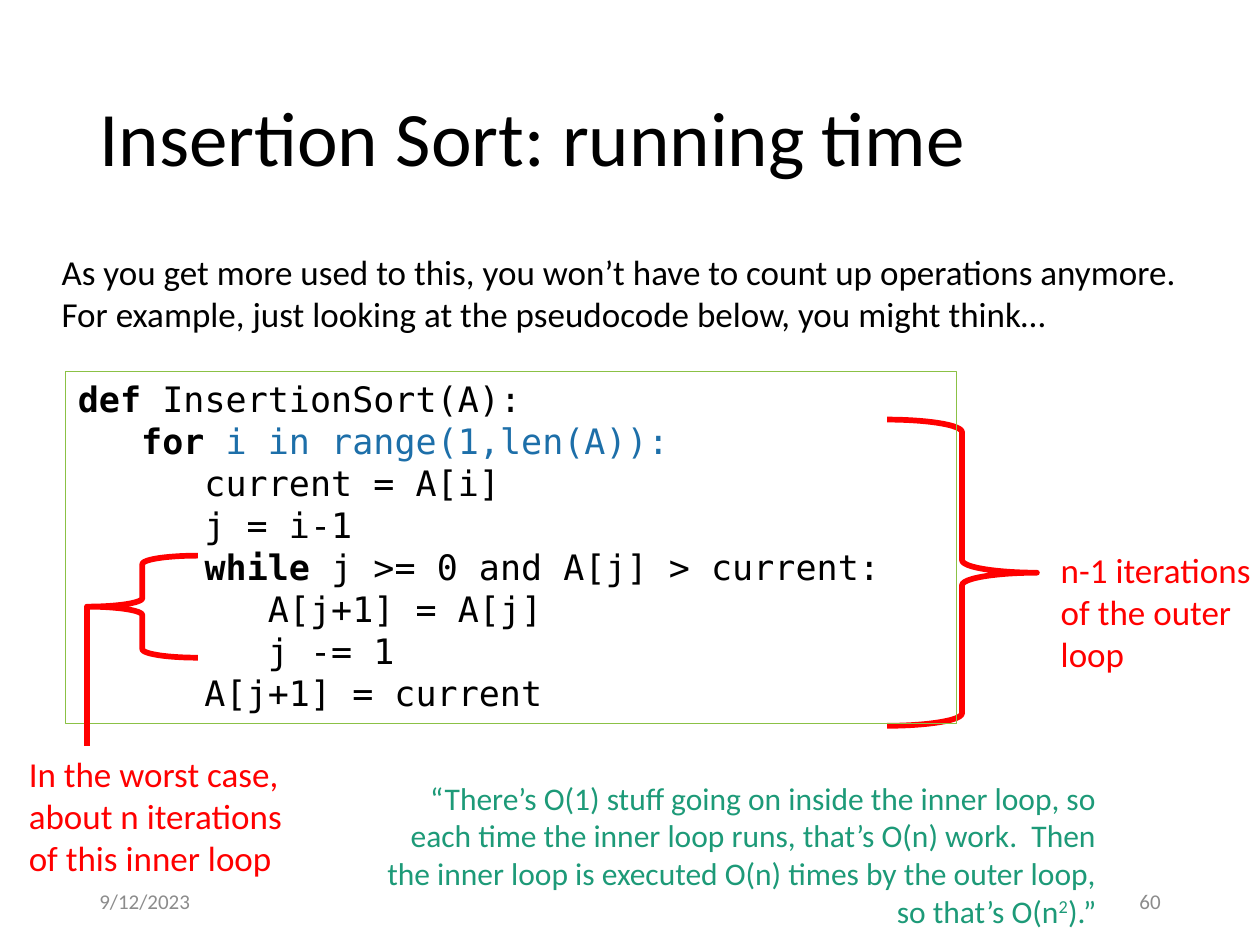
from dataclasses import dataclass

from lxml import etree
from pptx import Presentation
from pptx.dml.color import RGBColor
from pptx.enum.shapes import MSO_CONNECTOR, MSO_SHAPE
from pptx.enum.text import MSO_ANCHOR, PP_ALIGN
from pptx.oxml.ns import qn
from pptx.util import Inches, Pt

BLACK = RGBColor(0x00, 0x00, 0x00)
RED = RGBColor(0xFF, 0x00, 0x00)
BLUE = RGBColor(0x1D, 0x6F, 0xA9)
GREEN = RGBColor(0x8B, 0xC1, 0x45)
TEAL = RGBColor(0x1D, 0x9A, 0x78)
GRAY = RGBColor(0x8C, 0x8C, 0x8C)
BODY_FONT = "Calibri"
CODE_FONT = "DejaVu Sans Mono"

# Each code line is a list of (text, bold, colour) spans.
CODE = [
    [("def ", True, BLACK), ("InsertionSort(A):", False, BLACK)],
    [("   ", False, BLACK), ("for ", True, BLACK), ("i in range(1,len(A)):", False, BLUE)],
    [("      current = A[i]", False, BLACK)],
    [("      j = i-1", False, BLACK)],
    [("      ", False, BLACK), ("while ", True, BLACK), ("j >= 0 and A[j] > current:", False, BLACK)],
    [("         A[j+1] = A[j]", False, BLACK)],
    [("         j -= 1", False, BLACK)],
    [("      A[j+1] = current", False, BLACK)],
]


@dataclass
class Box:
    left: int
    top: int
    width: int
    height: int

    def inner(self, left, top, width, height):
        """Return a box whose sides are percentages of this one."""
        return Box(int(self.left + self.width * left / 100),
                   int(self.top + self.height * top / 100),
                   int(self.width * width / 100),
                   int(self.height * height / 100))

    def bounds(self):
        return self.left, self.top, self.width, self.height


def format_span(span, size, color, font=BODY_FONT, bold=False):
    span.font.size = Pt(size)
    span.font.name = font
    span.font.bold = bold
    span.font.color.rgb = color


def add_text(page, box, text, size, color, align=PP_ALIGN.LEFT, anchor=MSO_ANCHOR.TOP):
    """Add a wrapped one-paragraph text box and return the paragraph."""
    frame = page.shapes.add_textbox(*box.bounds()).text_frame
    frame.word_wrap = True
    frame.vertical_anchor = anchor
    frame.text = text
    para = frame.paragraphs[0]
    para.alignment = align
    format_span(para.runs[0], size, color)
    return para


def add_outline(page, kind, box, color, weight):
    shape = page.shapes.add_shape(kind, *box.bounds())
    shape.shadow.inherit = False
    shape.fill.background()
    shape.line.color.rgb = color
    shape.line.width = Pt(weight)
    return shape


def add_title(page, box):
    title = page.shapes.title
    title.left, title.top, title.width, title.height = box.bounds()
    title.text_frame.text = "Insertion Sort: running time"
    title.text_frame.vertical_anchor = MSO_ANCHOR.MIDDLE
    para = title.text_frame.paragraphs[0]
    para.alignment = PP_ALIGN.LEFT
    para.line_spacing = 0.9
    format_span(para.runs[0], 44, BLACK)


def add_code(page, box):
    frame = add_outline(page, MSO_SHAPE.RECTANGLE, box, GREEN, 0.75).text_frame
    frame.word_wrap = True
    frame.vertical_anchor = MSO_ANCHOR.TOP
    for index, line in enumerate(CODE):
        para = frame.add_paragraph() if index else frame.paragraphs[0]
        para.alignment = PP_ALIGN.LEFT
        for text, bold, color in line:
            span = para.add_run()
            span.text = text
            format_span(span, 20, color, CODE_FONT, bold)


def add_outer_loop(page, code_box):
    brace = add_outline(page, MSO_SHAPE.LEFT_BRACE,
                        code_box.inner(92.22, 13.62, 16.83, 87.1), RED, 3.25)
    brace.rotation = 180
    add_text(page, code_box.inner(110.33, 48.39, 28, 39.78),
             "n-1 iterations of the outer loop", 20, RED)


def add_inner_loop(page, code_box):
    brace_box = code_box.inner(2.4, 52.33, 12.45, 29.03)
    note_box = code_box.inner(-5.52, 106.45, 34.23, 39.78)
    add_outline(page, MSO_SHAPE.LEFT_BRACE, brace_box, RED, 3.25)
    stem = page.shapes.add_connector(
        MSO_CONNECTOR.STRAIGHT, brace_box.left,
        brace_box.top + brace_box.height // 2, brace_box.left, note_box.top)
    stem.line.color.rgb = RED
    stem.line.width = Pt(3.25)
    etree.SubElement(stem._element.spPr, qn("a:effectLst"))
    add_text(page, note_box,
             "In the worst case, about n iterations of this inner loop", 20, RED)


def add_quote(page, box):
    para = add_text(
        page, box,
        "“There’s O(1) stuff going on inside the inner loop, so each time the "
        "inner loop runs, that’s O(n) work.  Then the inner loop is executed "
        "O(n) times by the outer loop, so that’s O(n", 18, TEAL, PP_ALIGN.RIGHT)
    for text, baseline in (("2", "30000"), (").”", "0")):
        span = para.add_run()
        span.text = text
        format_span(span, 18, TEAL)
        span._r.get_or_add_rPr().set("baseline", baseline)


def add_footer(page, box):
    add_text(page, box.inner(0, 0, 26.1, 100), "9/12/2023", 12, GRAY,
             anchor=MSO_ANCHOR.MIDDLE)
    add_text(page, box.inner(73.9, 0, 26.1, 100), "60", 12, GRAY,
             PP_ALIGN.RIGHT, MSO_ANCHOR.MIDDLE)


def main():
    deck = Presentation()
    deck.slide_width, deck.slide_height = Inches(10), Inches(7.5)
    page = deck.slides.add_slide(deck.slide_layouts[5])
    whole = Box(0, 0, deck.slide_width, deck.slide_height)
    code_box = whole.inner(5.2, 39.33, 70.7, 37.2)

    add_title(page, whole.inner(6.9, 5.33, 86.2, 19.33))
    add_outer_loop(page, code_box)
    add_code(page, code_box)
    add_inner_loop(page, code_box)
    add_text(page, whole.inner(3.9, 25.87, 93.5, 10.27),
             "As you get more used to this, you won’t have to count up operations "
             "anymore.  For example, just looking at the pseudocode below, you "
             "might think…", 20, BLACK)
    add_quote(page, whole.inner(29.6, 81.73, 58.4, 17.47))
    add_footer(page, whole.inner(6.9, 92.67, 86.2, 5.33))
    deck.save("out.pptx")


if __name__ == "__main__":
    main()
